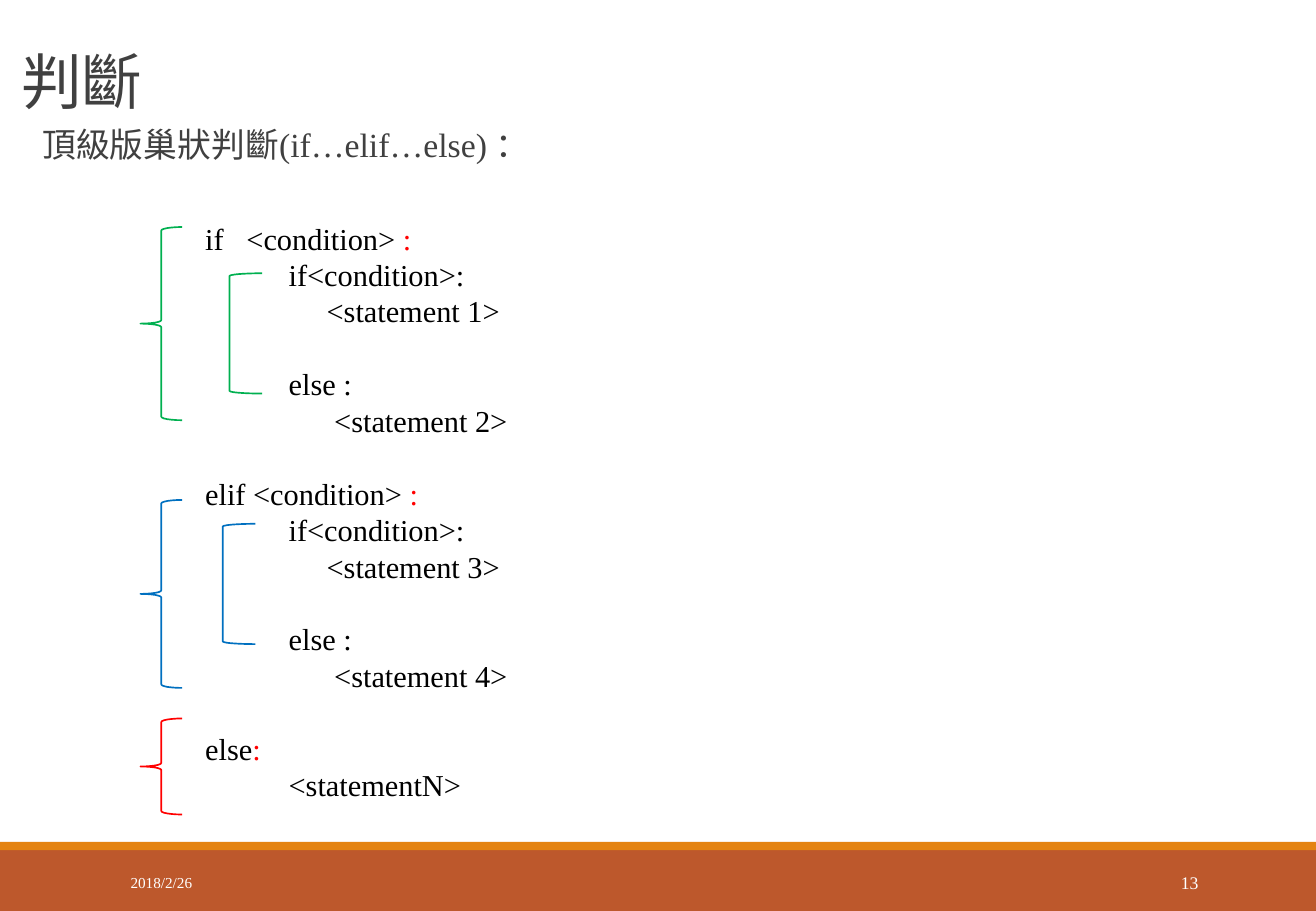
from dataclasses import dataclass

from lxml.etree import SubElement
from pptx import Presentation
from pptx.dml.color import RGBColor
from pptx.enum.shapes import MSO_SHAPE
from pptx.enum.text import MSO_ANCHOR, PP_ALIGN
from pptx.oxml.ns import qn
from pptx.util import Pt


@dataclass(frozen=True)
class Theme:
    font: str = "Times New Roman"
    bar: str = "BD582C"
    stripe: str = "E48312"
    heading: str = "404040"
    code: str = "000000"
    footer: str = "FFFFFF"
    green: str = "00B050"
    blue: str = "0070C0"
    red: str = "FF0000"
    title_size: float = 36
    subtitle_size: float = 20
    code_size: float = 18
    number_size: float = 10.5
    date_size: float = 9
    code_line: float = 21.6


THEME = Theme()
MARGINS = ("margin_left", "margin_top", "margin_right", "margin_bottom")
BLOCK, STATEMENT, DEEP_STATEMENT = 49.5, 72, 76.5
KEYWORD_TAB = 24.5


def apply_format(target, values):
    for name, value in values.items():
        setattr(target, name, value)


def add_span(para, text, size, color):
    span = para.add_run()
    span.text = text
    apply_format(span.font, {"name": THEME.font, "size": Pt(size)})
    span.font.color.rgb = RGBColor.from_string(color)
    return span


def add_box(page, place, margins=(7.2, 3.6, 7.2, 3.6), anchor=MSO_ANCHOR.TOP):
    frame = page.shapes.add_textbox(*map(Pt, place)).text_frame
    apply_format(frame, {"word_wrap": True, "vertical_anchor": anchor})
    apply_format(frame, dict(zip(MARGINS, map(Pt, margins))))
    return frame


def add_label(page, place, text, size, color, para_format, **box_format):
    para = add_box(page, place, **box_format).paragraphs[0]
    apply_format(para, para_format)
    return add_span(para, text, size, color)


def add_bar(page, place, color):
    bar = page.shapes.add_shape(MSO_SHAPE.RECTANGLE, *map(Pt, place))
    bar.shadow.inherit = False
    bar.fill.solid()
    bar.fill.fore_color.rgb = RGBColor.from_string(color)
    bar.line.fill.background()


def add_bracket(page, kind, place, color):
    bracket = page.shapes.add_shape(kind, *map(Pt, place))
    bracket.shadow.inherit = False
    bracket.fill.background()
    bracket.line.width = Pt(1)
    bracket.line.color.rgb = RGBColor.from_string(color)


def nested_block(opening, first, second):
    return [
        (opening, " :", 0, True),
        ("if<condition>:", "", BLOCK, False),
        (f"<statement {first}>", "", STATEMENT, False),
        ("else :", "", BLOCK, True),
        (f"<statement {second}>", "", DEEP_STATEMENT, False),
    ]


def add_code(page, place, lines):
    frame = add_box(page, place)
    for index, (text, colon, indent, gap) in enumerate(lines):
        para = frame.add_paragraph() if index else frame.paragraphs[0]
        apply_format(para, {
            "line_spacing": Pt(THEME.code_line),
            "space_before": Pt(THEME.code_line if gap and index else 0),
        })
        properties = para._p.get_or_add_pPr()
        properties.set("marL", str(Pt(indent)))
        if "\t" in text:
            stops = SubElement(properties, qn("a:tabLst"))
            SubElement(stops, qn("a:tab"), pos=str(Pt(KEYWORD_TAB)), algn="l")
        add_span(para, text, THEME.code_size, THEME.code)
        if colon:
            add_span(para, colon, THEME.code_size, THEME.red)


def add_footer(page):
    add_bar(page, (0, 504, 780, 36), THEME.bar)
    add_bar(page, (0, 499, 780, 5), THEME.stripe)
    add_label(page, (70.3, 508.5, 158, 28.8), "2018/2/26", THEME.date_size,
              THEME.footer, {}, anchor=MSO_ANCHOR.MIDDLE)
    add_label(page, (633.4, 508.5, 84, 28.8), "13", THEME.number_size,
              THEME.footer, {"alignment": PP_ALIGN.RIGHT}, anchor=MSO_ANCHOR.MIDDLE)


def add_headings(page):
    title = add_label(page, (5.8, 5, 643.7, 67.7), "判斷", THEME.title_size,
                      THEME.heading, {"line_spacing": 0.85}, anchor=MSO_ANCHOR.BOTTOM)
    title._r.get_or_add_rPr().set("spc", "-50")
    add_label(page, (18, 72.7, 690.5, 37.4), "頂級版巢狀判斷(if…elif…else) ：",
              THEME.subtitle_size, THEME.heading,
              {"line_spacing": 0.9, "space_before": Pt(12), "space_after": Pt(2)},
              margins=(7.2, 3.6, 0, 3.6))


def main():
    deck = Presentation()
    apply_format(deck, {"slide_width": Pt(780), "slide_height": Pt(540)})
    page = deck.slides.add_slide(deck.slide_layouts[6])
    add_footer(page)
    add_headings(page)
    add_code(page, (114.5, 126.7, 240, 356.4), [
        *nested_block("if\t<condition>", 1, 2),
        *nested_block("elif <condition>", 3, 4),
        ("else", ":", 0, True),
        ("<statementN>", "", BLOCK, False),
    ])
    for top, height, color in (
        (134.6, 114.5, THEME.green),
        (296.4, 111.4, THEME.blue),
        (425.9, 56.9, THEME.red),
    ):
        add_bracket(page, MSO_SHAPE.LEFT_BRACE, (83.2, top, 24.8, height), color)
    for left, top, color in ((136, 162, THEME.green), (132, 310.5, THEME.blue)):
        add_bracket(page, MSO_SHAPE.LEFT_BRACKET, (left, top, 19.4, 71.3), color)
    deck.save("out.pptx")


if __name__ == "__main__":
    main()
